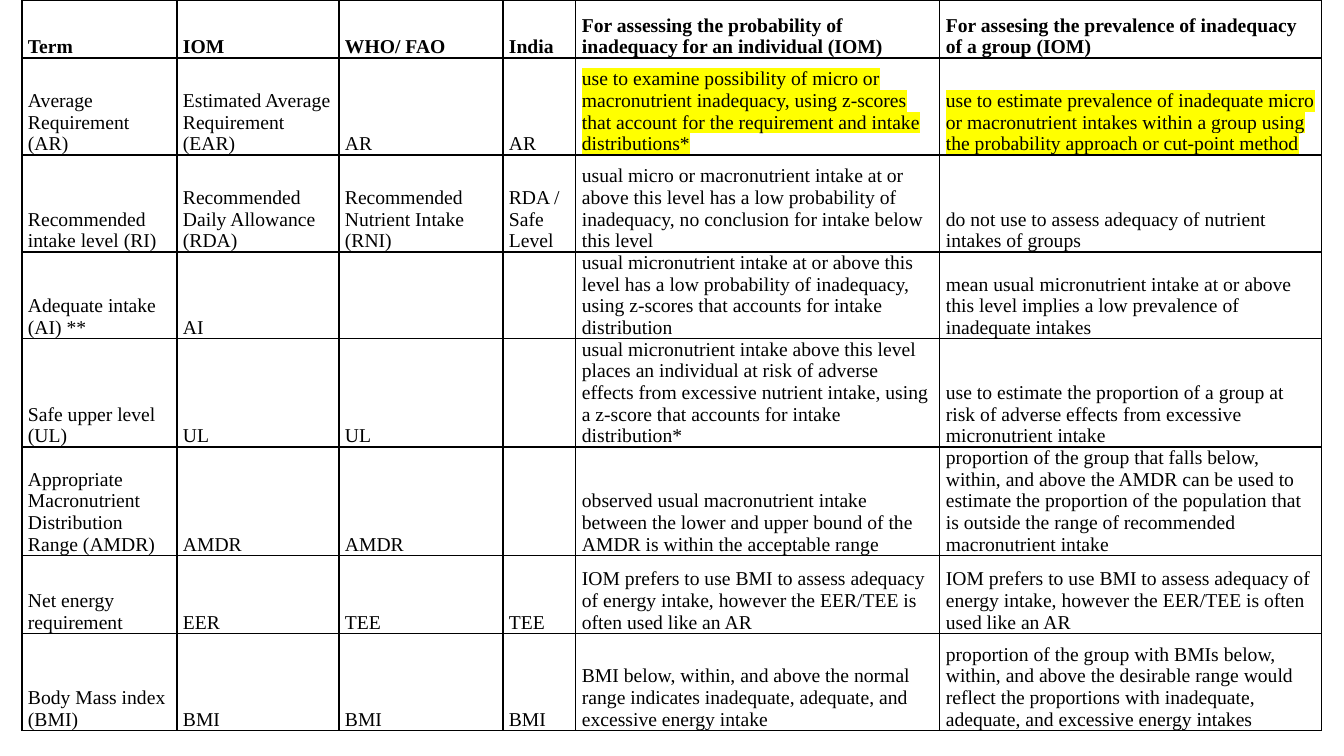
from dataclasses import dataclass

from pptx import Presentation
from pptx.dml.color import RGBColor
from pptx.enum.text import MSO_ANCHOR
from pptx.oxml.ns import qn
from pptx.util import Pt
from lxml import etree

BOTTOM = MSO_ANCHOR.BOTTOM
EMU_PER_PIXEL = 914400 / 100.8
BLANK_LAYOUT = 6


@dataclass(frozen=True)
class Theme:
    font: str = "Times New Roman"
    text_size: int = 14
    text_color: str = "000000"
    border_color: str = "000000"
    border_width: int = 1
    highlight: str = "FFFF00"
    cell_margin: int = 6


def emu(pixels):
    return round(pixels * EMU_PER_PIXEL)


class SlideBuilder:
    def __init__(self, slide, theme):
        self.slide = slide
        self.theme = theme

    def table(self, left, top, widths, heights, rows, highlighted):
        frame = self.slide.shapes.add_table(
            len(rows), len(widths), emu(left), emu(top), emu(sum(widths)), emu(sum(heights)))
        table = frame.table
        table.horz_banding = False
        for column, width in zip(table.columns, widths):
            column.width = emu(width)
        for row, height in zip(table.rows, heights):
            row.height = emu(height)
        for row_index, texts in enumerate(rows):
            for column_index, text in enumerate(texts):
                cell = table.cell(row_index, column_index)
                self.format_cell(cell)
                if text:
                    self.text(cell, text, bold=row_index == 0,
                              marked=(row_index, column_index) in highlighted)

    def format_cell(self, cell):
        cell.vertical_anchor = BOTTOM
        cell.margin_left = cell.margin_right = emu(self.theme.cell_margin)
        cell.margin_top = cell.margin_bottom = 0
        properties = cell._tc.get_or_add_tcPr()
        for side in ("a:lnL", "a:lnR", "a:lnT", "a:lnB"):
            line = etree.SubElement(properties, qn(side), w=str(Pt(self.theme.border_width)))
            self.add_color(etree.SubElement(line, qn("a:solidFill")), self.theme.border_color)
        cell.fill.background()

    def text(self, cell, text, bold, marked):
        span = cell.text_frame.paragraphs[0].add_run()
        span.text = text
        font = span.font
        font.size = Pt(self.theme.text_size)
        font.bold = bold
        font.color.rgb = RGBColor.from_string(self.theme.text_color)
        if marked:
            highlight = etree.SubElement(span._r.get_or_add_rPr(), qn("a:highlight"))
            self.add_color(highlight, self.theme.highlight)
        font.name = self.theme.font

    @staticmethod
    def add_color(parent, color):
        etree.SubElement(parent, qn("a:srgbClr"), val=color)


# Table content: header row, then one row per term
ENERGY_NOTE = ("IOM prefers to use BMI to assess adequacy of energy intake, "
               "however the EER/TEE is often used like an AR")
TERM_ROWS = [
    ("Term", "IOM", "WHO/ FAO", "India",
     "For assessing the probability of inadequacy for an individual (IOM)",
     "For assesing the prevalence of inadequacy of a group (IOM)"),
    ("Average Requirement (AR)", "Estimated Average Requirement (EAR)", "AR", "AR",
     "use to examine possibility of micro or macronutrient inadequacy, using z-scores "
     "that account for the requirement and intake distributions*",
     "use to estimate prevalence of inadequate micro or macronutrient intakes within "
     "a group using the probability approach or cut-point method"),
    ("Recommended intake level (RI)", "Recommended Daily Allowance (RDA)",
     "Recommended Nutrient Intake (RNI)", "RDA / Safe Level",
     "usual micro or macronutrient intake at or above this level has a low probability "
     "of inadequacy, no conclusion for intake below this level",
     "do not use to assess adequacy of nutrient intakes of groups"),
    ("Adequate intake (AI) **", "AI", "", "",
     "usual micronutrient intake at or above this level has a low probability of "
     "inadequacy, using z-scores that accounts for intake distribution",
     "mean usual micronutrient intake at or above this level implies a low prevalence "
     "of inadequate intakes"),
    ("Safe upper level (UL)", "UL", "UL", "",
     "usual micronutrient intake above this level places an individual at risk of adverse "
     "effects from excessive nutrient intake, using a z-score that accounts for intake "
     "distribution*",
     "use to estimate the proportion of a group at risk of adverse effects from excessive "
     "micronutrient intake"),
    ("Appropriate Macronutrient Distribution Range (AMDR)", "AMDR", "AMDR", "",
     "observed usual macronutrient intake between the lower and upper bound of the AMDR "
     "is within the acceptable range",
     "proportion of the group that falls below, within, and above the AMDR can be used to "
     "estimate the proportion of the population that is outside the range of recommended "
     "macronutrient intake"),
    ("Net energy requirement", "EER", "TEE", "TEE", ENERGY_NOTE, ENERGY_NOTE),
    ("Body Mass index (BMI)", "BMI", "BMI", "BMI",
     "BMI below, within, and above the normal range indicates inadequate, adequate, and "
     "excessive energy intake",
     "proportion of the group with BMIs below, within, and above the desirable range would "
     "reflect the proportions with inadequate, adequate, and excessive energy intakes"),
]
COLUMN_WIDTHS = [155, 162, 164, 73, 364, 382]
ROW_HEIGHTS = [58, 97, 97, 78, 97, 97, 78, 97]
HIGHLIGHTED_CELLS = {(1, 4), (1, 5)}

# Deck and slide
deck = Presentation()
deck.slide_width, deck.slide_height = emu(1344), emu(756)
page = SlideBuilder(deck.slides.add_slide(deck.slide_layouts[BLANK_LAYOUT]), Theme())

# Nutrient terms table
page.table(22, 0, COLUMN_WIDTHS, ROW_HEIGHTS, TERM_ROWS, HIGHLIGHTED_CELLS)

deck.save("out.pptx")
